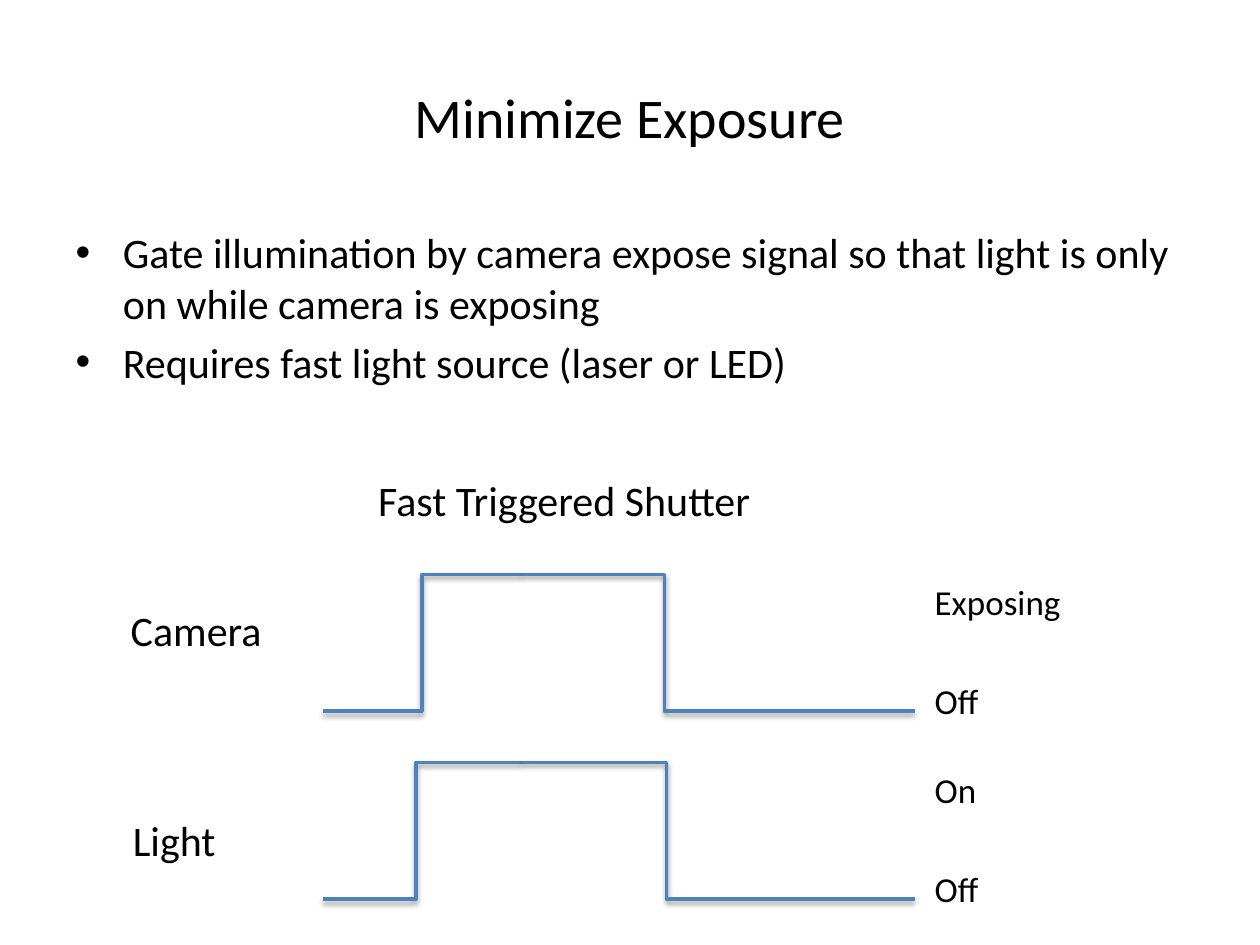
from lxml.etree import SubElement
from pptx import Presentation
from pptx.dml.color import RGBColor
from pptx.enum.shapes import MSO_CONNECTOR
from pptx.enum.text import MSO_ANCHOR, MSO_AUTO_SIZE, PP_ALIGN
from pptx.oxml.ns import qn
from pptx.util import Pt

COLORS = {"text": "000000", "signal": "4F81BD", "shadow": "000000"}
LABEL_FRAME = {"word_wrap": False, "auto_size": MSO_AUTO_SIZE.SHAPE_TO_FIT_TEXT}


def apply_format(target, values):
    """Set each attribute named in values on the target."""
    for attribute, value in values.items():
        setattr(target, attribute, value)


def place(region, box):
    """Move a region to a box of left, top, width and height in points."""
    apply_format(region, dict(zip(("left", "top", "width", "height"), map(Pt, box))))


def format_font(paragraph, size):
    """Give a paragraph the slide's typeface and text colour."""
    apply_format(paragraph.font, {"name": "Calibri", "size": Pt(size)})
    paragraph.font.color.rgb = RGBColor.from_string(COLORS["text"])


def fill_title(slide, box, wording):
    """Place the centred slide title."""
    title = slide.shapes.title
    place(title, box)
    title.text_frame.text = wording
    title.text_frame.vertical_anchor = MSO_ANCHOR.MIDDLE
    heading = title.text_frame.paragraphs[0]
    heading.alignment = PP_ALIGN.CENTER
    format_font(heading, 32)


def fill_body(slide, box, points):
    """Place the bulleted list."""
    body = slide.placeholders[1]
    place(body, box)
    body.text_frame.text = "\n".join(points)
    for index, point in enumerate(body.text_frame.paragraphs):
        point.space_before = Pt(4.8 if index else 0)
        format_font(point, 24)


def add_label(slide, box, wording, size):
    """Add a one-line label that does not wrap."""
    label = slide.shapes.add_textbox(*map(Pt, box))
    apply_format(label.text_frame, LABEL_FRAME)
    label.text_frame.text = wording
    format_font(label.text_frame.paragraphs[0], size)


def add_edge(slide, start, end, bend):
    """Add a shadowed elbow line that turns at the given share of its width."""
    edge = slide.shapes.add_connector(MSO_CONNECTOR.ELBOW, *map(Pt, start + end))
    edge.line.color.rgb = RGBColor.from_string(COLORS["signal"])
    edge.line.width = Pt(2)
    properties = edge._element.spPr
    guides = properties.find(qn("a:prstGeom")).get_or_add_avLst()
    SubElement(guides, qn("a:gd"), name="adj1", fmla=f"val {round(bend * 100000)}")
    effects = SubElement(properties, qn("a:effectLst"))
    shadow = SubElement(effects, qn("a:outerShdw"), blurRad=str(Pt(3.1)),
                        dist=str(Pt(1.6)), dir="5400000", rotWithShape="0")
    shade = SubElement(shadow, qn("a:srgbClr"), val=COLORS["shadow"])
    SubElement(shade, qn("a:alpha"), val="38000")


def add_signal(slide, box, rise, fall, states):
    """Draw a pulse in the box with its high and low states named at the right."""
    left, top, width, height = box
    middle, right, bottom = left + 112.7, left + width, top + height
    add_edge(slide, (middle, top), (right, bottom), (fall - middle) / (right - middle))
    add_edge(slide, (middle, top), (left, bottom), (middle - rise) / (middle - left))
    for index, (state, label_width) in enumerate(states):
        add_label(slide, (right + 4.3, top + index * 56.2, label_width, 31.5), state, 20)


def add_timing(slide, box):
    """Draw the captioned timing diagram of camera and light."""
    left, top, width, height = box
    add_label(slide, (left + 141.4, top, 235.4, 36), "Fast Triggered Shutter", 24)
    signals = (
        ("Camera", 0, 74.2, 90, 241.1, 379.7, (("Exposing", 87), ("Off", 40.5))),
        ("Light", 1.2, 194.4, 62, 237.8, 380.9, (("On", 39), ("Off", 40.5))),
    )
    for index, (name, shift, drop, label_width, rise, fall, states) in enumerate(signals):
        add_label(slide, (left + shift, top + drop, label_width, 36), name, 24)
        pulse = (left + 117, top + 60.6 + index * 107.4, width - 117, 78)
        add_signal(slide, pulse, rise, fall, states)


def main():
    """Build and save the slide."""
    presentation = Presentation()
    apply_format(presentation, {"slide_width": Pt(720), "slide_height": Pt(540)})
    slide = presentation.slides.add_slide(presentation.slide_layouts[1])
    fill_title(slide, (36, 21.6, 648, 90), "Minimize Exposure")
    fill_body(slide, (36, 126, 648, 356.4), (
        "Gate illumination by camera expose signal so that light is only on "
        "while camera is exposing",
        "Requires fast light source (laser or LED)",
    ))
    add_timing(slide, (67.6, 267.8, 455.1, 246))
    presentation.save("out.pptx")


if __name__ == "__main__":
    main()
